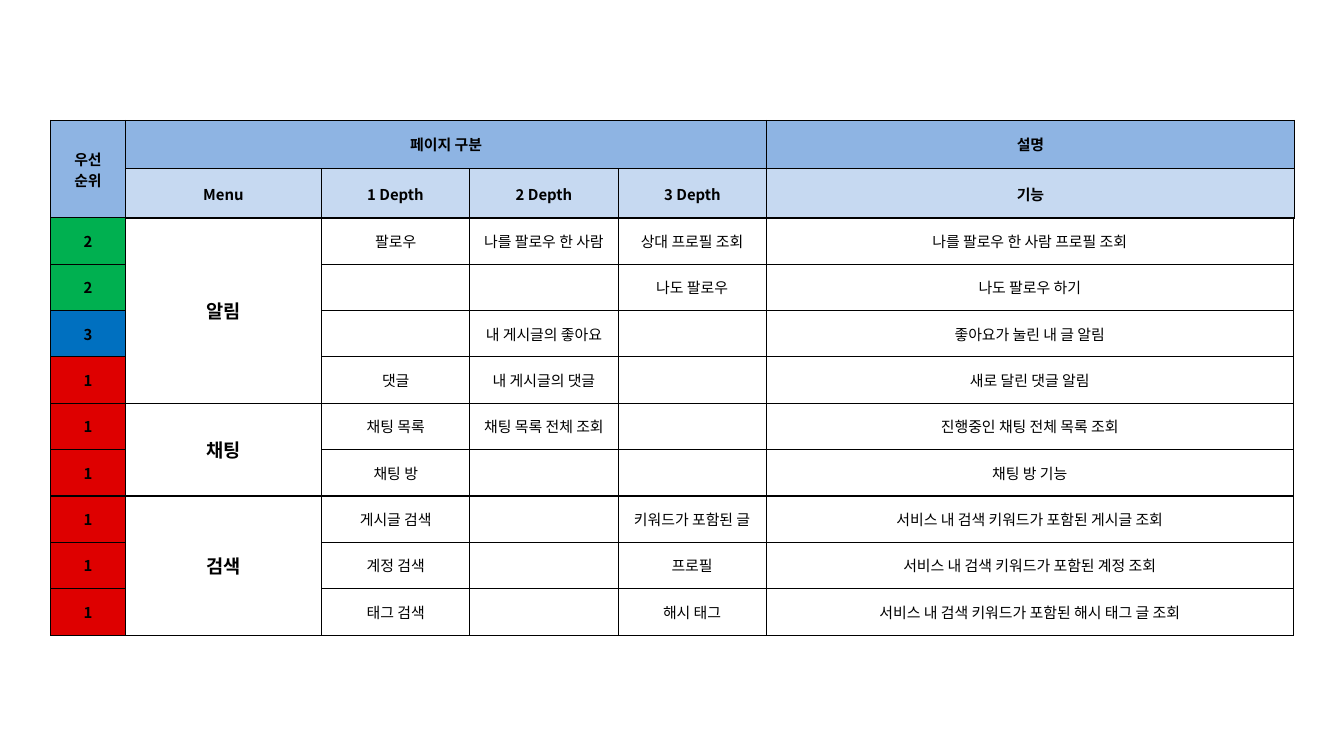
from lxml.etree import SubElement
from pptx import Presentation
from pptx.dml.color import RGBColor
from pptx.enum.text import MSO_ANCHOR as Anchor, PP_ALIGN as Align
from pptx.oxml import parse_xml
from pptx.oxml.ns import nsdecls, qn
from pptx.util import Pt

PX = 9144
BLACK = RGBColor(0x00, 0x00, 0x00)
HEADER_BLUE = RGBColor(0x8E, 0xB4, 0xE3)
SUBHEADER_BLUE = RGBColor(0xC6, 0xD9, 0xF1)
PRIORITY_FILLS = {
    "1": RGBColor(0xDE, 0x00, 0x00),
    "2": RGBColor(0x00, 0xB0, 0x50),
    "3": RGBColor(0x00, 0x70, 0xC0),
}
NOTO, CALIBRI = "Noto Sans CJK KR", "Calibri"

NOTICE_AND_CHAT = [
    ("알림", [
        ("2", "팔로우", "나를 팔로우 한 사람", "상대 프로필 조회", "나를 팔로우 한 사람 프로필 조회"),
        ("2", "", "", "나도 팔로우", "나도 팔로우 하기"),
        ("3", "", "내 게시글의 좋아요", "", "좋아요가 눌린 내 글 알림"),
        ("1", "댓글", "내 게시글의 댓글", "", "새로 달린 댓글 알림"),
    ]),
    ("채팅", [
        ("1", "채팅 목록", "채팅 목록 전체 조회", "", "진행중인 채팅 전체 목록 조회"),
        ("1", "채팅 방", "", "", "채팅 방 기능"),
    ]),
]
SEARCH = [
    ("검색", [
        ("1", "게시글 검색", "", "키워드가 포함된 글", "서비스 내 검색 키워드가 포함된 게시글 조회"),
        ("1", "계정 검색", "", "프로필", "서비스 내 검색 키워드가 포함된 계정 조회"),
        ("1", "태그 검색", "", "해시 태그", "서비스 내 검색 키워드가 포함된 해시 태그 글 조회"),
    ]),
]


def add_border(cell):
    """Draw a 1 pt black line on all four sides of a cell."""
    props = cell._tc.get_or_add_tcPr()
    for place, side in enumerate(("lnL", "lnR", "lnT", "lnB")):
        line = parse_xml(
            f'<a:{side} {nsdecls("a")} w="12700"><a:solidFill>'
            f'<a:srgbClr val="{BLACK}"/></a:solidFill></a:{side}>'
        )
        props.insert(place, line)


def add_grid(slide, left, top, columns, row_height, row_count):
    """Add an unfilled, bordered table and return it."""
    box = (left, top, sum(columns), row_height * row_count)
    grid = slide.shapes.add_table(
        row_count, len(columns), *(length * PX for length in box)
    ).table
    grid.first_row = grid.horz_banding = False
    for column, width in zip(grid.columns, columns):
        column.width = width * PX
    for row in grid.rows:
        row.height = row_height * PX
    for cell in grid.iter_cells():
        cell.vertical_anchor = Anchor.MIDDLE
        cell.fill.background()
        add_border(cell)
    return grid


def write_cell(cell, text, fill=None, size=16, bold=True, font=NOTO):
    """Write centred text into a cell and colour its ground."""
    if fill is not None:
        cell.fill.solid()
        cell.fill.fore_color.rgb = fill
    if not text:
        return
    cell.text_frame.text = text
    look = {"size": Pt(size), "bold": bold, "name": font}
    for paragraph in cell.text_frame.paragraphs:
        paragraph.alignment = Align.CENTER
        for run in paragraph.runs:
            for name, value in look.items():
                setattr(run.font, name, value)
            run.font.color.rgb = BLACK
            SubElement(run._r.get_or_add_rPr(), qn("a:ea"), typeface=NOTO)


def add_header(slide, left, top, columns, row_height):
    """Add the two-row heading table."""
    grid = add_grid(slide, left, top, columns, row_height, 2)
    grid.cell(0, 0).merge(grid.cell(1, 0))
    grid.cell(0, 1).merge(grid.cell(0, 4))
    for column, heading in ((0, "우선\n순위"), (1, "페이지 구분"), (5, "설명")):
        write_cell(grid.cell(0, column), heading, HEADER_BLUE)
    subheadings = ("Menu", "1 Depth", "2 Depth", "3 Depth", "기능")
    for column, subheading in enumerate(subheadings, 1):
        write_cell(grid.cell(1, column), subheading, SUBHEADER_BLUE)


def add_menus(slide, left, top, columns, row_height, menus, font):
    """Add a table of menus, each merged over its feature rows."""
    row_count = sum(len(features) for _, features in menus)
    grid = add_grid(slide, left, top, columns, row_height, row_count)
    row = 0
    for menu, features in menus:
        grid.cell(row, 1).merge(grid.cell(row + len(features) - 1, 1))
        write_cell(grid.cell(row, 1), menu, size=20)
        for priority, *details in features:
            write_cell(grid.cell(row, 0), priority, PRIORITY_FILLS[priority])
            for column, detail in enumerate(details, 2):
                write_cell(grid.cell(row, column), detail, bold=False, font=font)
            row += 1


def main():
    """Build the feature list slide."""
    deck = Presentation()
    deck.slide_width, deck.slide_height = 2000 * PX, 1125 * PX
    slide = deck.slides.add_slide(deck.slide_layouts[6])
    add_header(slide, 75, 179, (112, 291, 221, 221, 221, 785), 72)
    menu_columns = (112, 292, 220, 221, 220, 785)
    add_menus(slide, 75, 738, menu_columns, 69, SEARCH, NOTO)
    add_menus(slide, 75, 324, menu_columns, 69, NOTICE_AND_CHAT, CALIBRI)
    deck.save("out.pptx")


if __name__ == "__main__":
    main()
